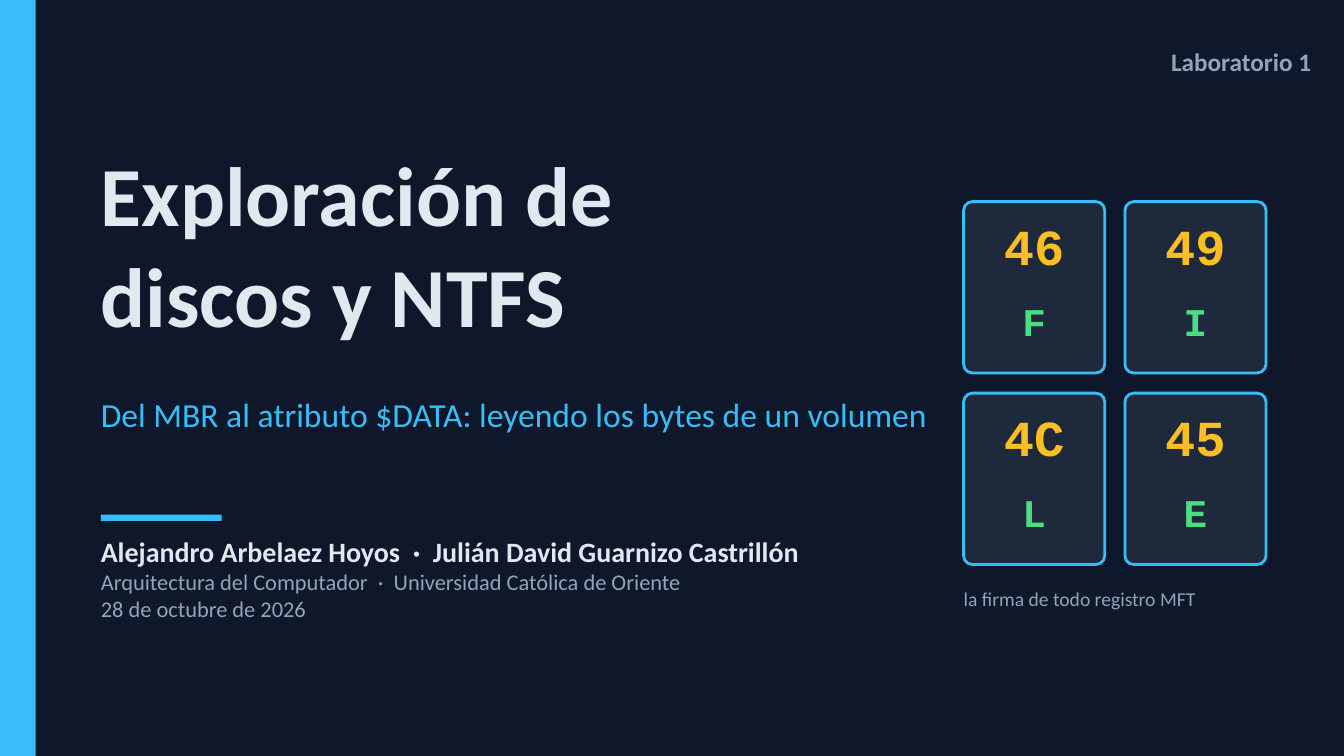
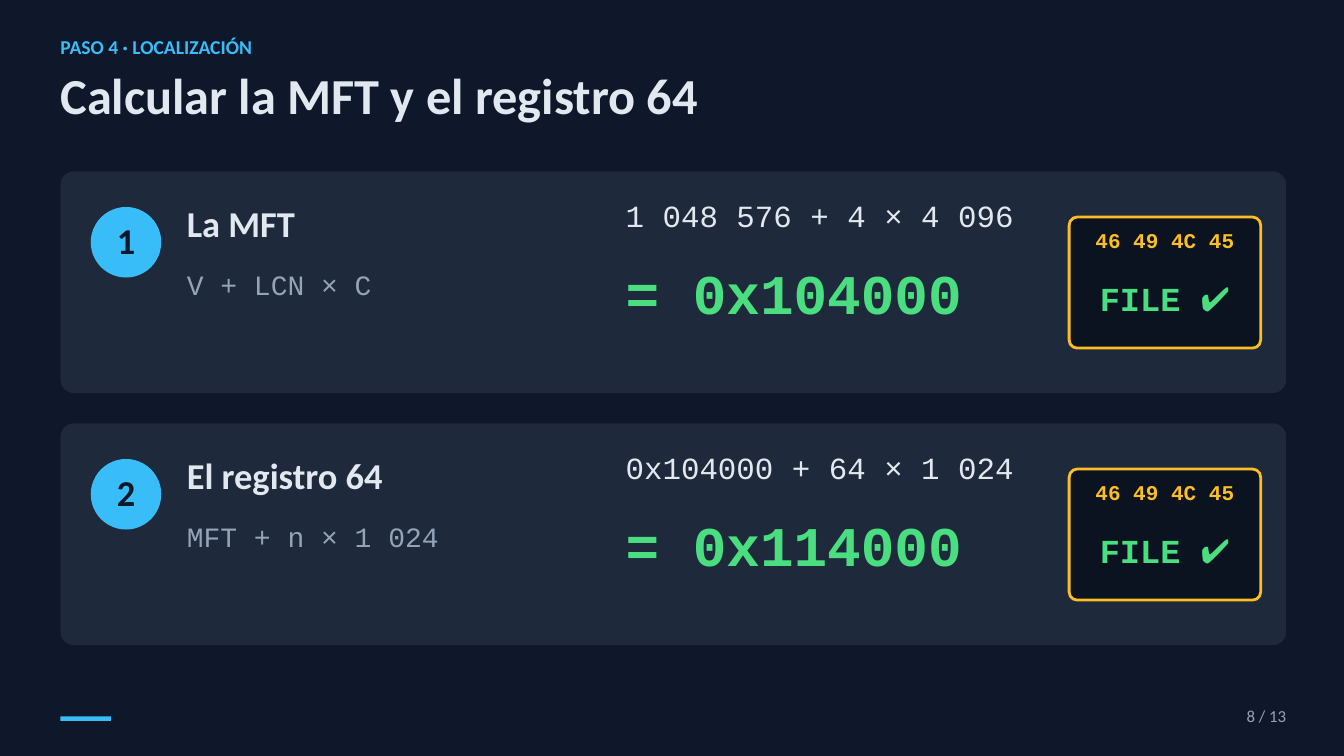
import pptx
import pptx.util
import pptx.dml.color
import pptx.enum.shapes
import pptx.enum.text

RGBColor = pptx.dml.color.RGBColor
NAVY = RGBColor(0x0F, 0x17, 0x2A)
DARK = RGBColor(0x0B, 0x12, 0x20)
SLATE = RGBColor(0x1E, 0x29, 0x3B)
SKY = RGBColor(0x38, 0xBD, 0xF8)
PALE = RGBColor(0xE2, 0xE8, 0xF0)
GRAY = RGBColor(0x94, 0xA3, 0xB8)
AMBER = RGBColor(0xFB, 0xBF, 0x24)
GREEN = RGBColor(0x4A, 0xDE, 0x80)
SANS = "Calibri"
MONO = "Courier New"
PX = 9144

Kind = pptx.enum.shapes.MSO_SHAPE
Align = pptx.enum.text.PP_ALIGN
Anchor = pptx.enum.text.MSO_ANCHOR
Pt = pptx.util.Pt


def draw(slide, kind, area, fill, edge=None, round_by=0):
    shape = slide.shapes.add_shape(kind, *[n * PX for n in area])
    shape.shadow.inherit = False
    shape.fill.solid()
    shape.fill.fore_color.rgb = fill
    if edge is None:
        shape.line.fill.background()
    else:
        shape.line.color.rgb = edge
        shape.line.width = Pt(3)
    if round_by:
        shape.adjustments[0] = round_by / min(area[2:])
    return shape


def write(slide, area, lines, font=SANS, align=Align.LEFT, host=None):
    shape = host or slide.shapes.add_textbox(*[n * PX for n in area])
    frame = shape.text_frame
    frame.word_wrap = True
    frame.margin_left = frame.margin_right = 0
    frame.margin_top = frame.margin_bottom = 0
    frame.vertical_anchor = Anchor.MIDDLE if host else Anchor.TOP
    for i, (text, size, color, bold) in enumerate(lines):
        para = frame.add_paragraph() if i else frame.paragraphs[0]
        para.alignment = align
        para.line_spacing = Pt(size * 1.2)
        run = para.add_run()
        run.text = text
        run.font.name = font
        run.font.size = Pt(size)
        run.font.bold = bold
        run.font.color.rgb = color
    return frame


deck = pptx.Presentation()
deck.slide_width = 2000 * PX
deck.slide_height = 1125 * PX
cover, steps = [deck.slides.add_slide(deck.slide_layouts[6]) for _ in range(2)]
for slide in (cover, steps):
    slide.background.fill.solid()
    slide.background.fill.fore_color.rgb = NAVY

draw(cover, Kind.RECTANGLE, (0, 0, 53, 1125), SKY)
write(cover, (1351, 69, 600, 66), [("Laboratorio 1", 27, GRAY, True)], align=Align.RIGHT)
write(cover, (150, 212, 1231, 381), [
    ("Exploración de", 90, PALE, True),
    ("discos y NTFS", 90, PALE, True),
])
write(cover, (150, 586, 1231, 157), [
    ("Del MBR al atributo $DATA: leyendo los bytes de un volumen", 36, SKY, False),
])
draw(cover, Kind.RECTANGLE, (150, 766, 180, 9), SKY)
write(cover, (150, 796, 1201, 202), [
    ("Alejandro Arbelaez Hoyos  ·  Julián David Guarnizo Castrillón", 30, PALE, True),
    ("Arquitectura del Computador  ·  Universidad Católica de Oriente", 24, GRAY, False),
    ("28 de octubre de 2026", 24, GRAY, False),
])

for i, char in enumerate("FILE"):
    x = 1434 + i % 2 * 240
    y = 300 + i // 2 * 285
    draw(cover, Kind.ROUNDED_RECTANGLE, (x, y, 210, 255), SLATE, SKY, 13)
    write(cover, (x, y + 20, 210, 115), [(f"{ord(char):X}", 54, AMBER, True)], MONO, Align.CENTER)
    write(cover, (x, y + 142, 210, 83), [(char, 42, GREEN, True)], MONO, Align.CENTER)
write(cover, (1434, 873, 450, 65), [("la firma de todo registro MFT", 21, GRAY, False)])

write(steps, (90, 52, 1351, 50), [("PASO 4 · LOCALIZACIÓN", 21, SKY, True)])
write(steps, (90, 96, 1816, 133), [("Calcular la MFT y el registro 64", 54, PALE, True)])
write(steps, (1681, 1050, 233, 49), [("8 / 13", 18, GRAY, False)], align=Align.RIGHT)
draw(steps, Kind.RECTANGLE, (90, 1066, 75, 7), SKY)

rows = [
    ("La MFT", "V + LCN × C", "1 048 576 + 4 × 4 096", "= 0x104000"),
    ("El registro 64", "MFT + n × 1 024", "0x104000 + 64 × 1 024", "= 0x114000"),
]
for i, (name, rule, sums, total) in enumerate(rows):
    y = 255 + i * 375
    draw(steps, Kind.ROUNDED_RECTANGLE, (90, y, 1824, 330), SLATE, round_by=20)
    disc = draw(steps, Kind.OVAL, (135, y + 53, 105, 105), SKY)
    frame = write(steps, None, [(str(i + 1), 39, NAVY, True)], align=Align.CENTER, host=disc)
    frame.margin_bottom = 8 * PX
    write(steps, (278, y + 44, 600, 83), [(name, 39, PALE, True)])
    write(steps, (278, y + 143, 630, 82), [(rule, 30, GRAY, False)], MONO)
    write(steps, (931, y + 38, 600, 82), [(sums, 33, PALE, False)], MONO)
    write(steps, (931, y + 130, 600, 148), [(total, 60, GREEN, True)], MONO)
    draw(steps, Kind.ROUNDED_RECTANGLE, (1591, y + 68, 285, 195), DARK, AMBER, 12)
    write(steps, (1591, y + 84, 285, 89), [("46 49 4C 45", 22.5, AMBER, True)], MONO, Align.CENTER)
    write(steps, (1591, y + 158, 285, 82), [("FILE ✔", 36, GREEN, True)], MONO, Align.CENTER)

deck.save("out.pptx")
